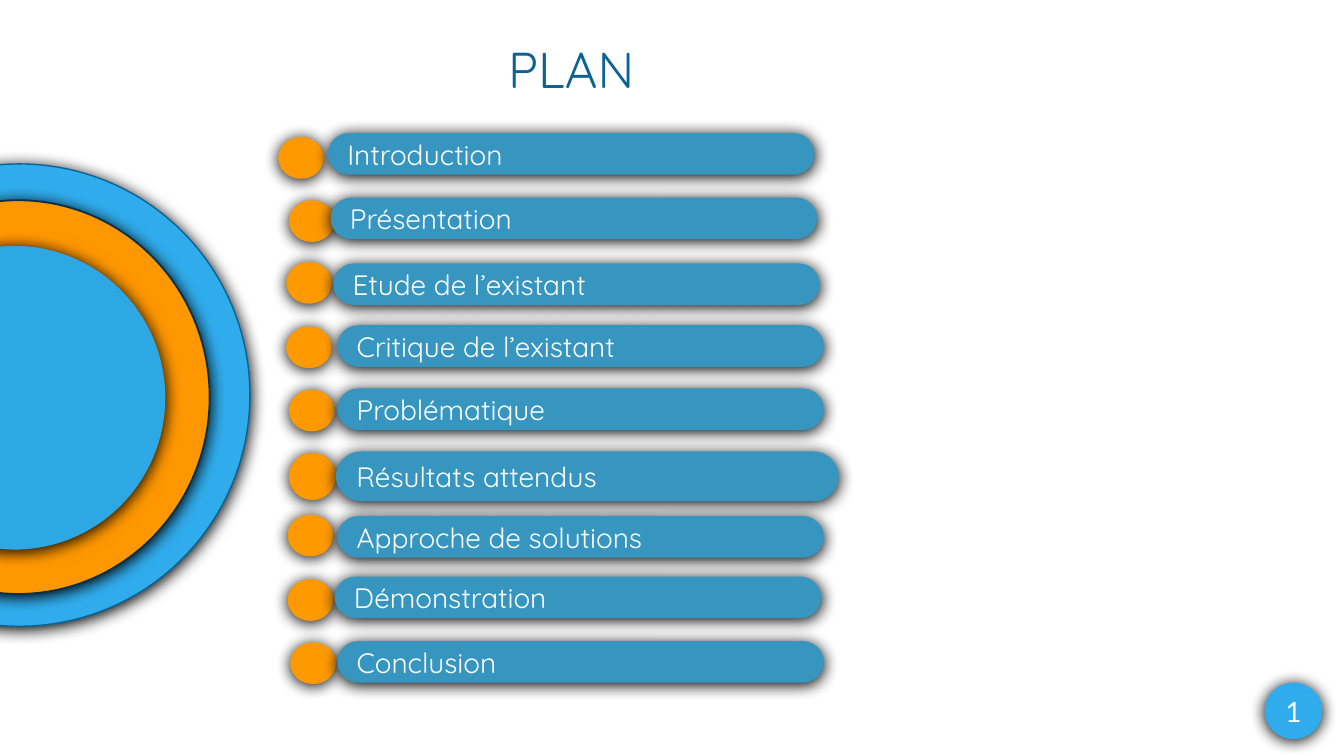
import lxml.etree
import pptx
import pptx.dml.color
import pptx.enum.shapes
import pptx.enum.text
import pptx.oxml.ns
import pptx.util

Inches = pptx.util.Inches
Pt = pptx.util.Pt
RGBColor = pptx.dml.color.RGBColor
SHAPE = pptx.enum.shapes.MSO_SHAPE
ALIGN = pptx.enum.text.PP_ALIGN
MIDDLE = pptx.enum.text.MSO_ANCHOR.MIDDLE
qn = pptx.oxml.ns.qn

WHITE = RGBColor(0xFF, 0xFF, 0xFF)
SKY = RGBColor(0x30, 0xAC, 0xEC)
CORE_BLUE = RGBColor(0x2E, 0xA7, 0xE5)
BAR_BLUE = RGBColor(0x37, 0x96, 0xBF)
TITLE_BLUE = RGBColor(0x0D, 0x62, 0x94)
NAVY = RGBColor(0x07, 0x31, 0x4A)
RING_ORANGE = RGBColor(0xFF, 0x97, 0x00)
DOT_ORANGE = RGBColor(0xFF, 0x99, 0x00)

DOT_SIZE = (0.34, 0.31)
BAR_SIZE = (3.62, 0.31)
LARGE_DOT_SIZE = (0.35, 0.35)
LARGE_BAR_SIZE = (3.74, 0.37)

RINGS = [
    ((-1.57, 1.22, 3.43, 3.44), SKY, TITLE_BLUE, 0.75),
    ((-1.29, 1.49, 2.85, 2.93), RING_ORANGE, NAVY, 1),
    ((-1.01, 1.83, 2.24, 2.26), CORE_BLUE, None, 0),
]

SECTIONS = [
    ("Introduction", (2.07, 1.02), (2.44, 0.99)),
    ("Présentation", (2.15, 1.49), (2.46, 1.47)),
    ("Etude de l’existant", (2.13, 1.95), (2.48, 1.96)),
    ("Critique de l’existant", (2.13, 2.43), (2.51, 2.42)),
    ("Problématique", (2.15, 2.9), (2.51, 2.89)),
    ("Résultats attendus", (2.15, 3.37), (2.5, 3.36)),
    ("Approche de solutions", (2.14, 3.83), (2.51, 3.84)),
    ("Démonstration", (2.14, 4.31), (2.49, 4.29)),
    ("Conclusion", (2.16, 4.78), (2.51, 4.77)),
]
LARGE_SECTION = "Résultats attendus"


def add_shadow(shape):
    """Give the shape a soft black shadow falling straight down."""
    shape.shadow.inherit = False
    effects = shape._element.spPr.find(qn("a:effectLst"))
    shadow = lxml.etree.SubElement(
        effects, qn("a:outerShdw"), blurRad=str(Pt(8.5)), dist=str(Pt(1)),
        dir="5400000", algn="ctr", rotWithShape="0")
    lxml.etree.SubElement(shadow, qn("a:srgbClr"), val="000000")


def add_shadowed(shapes, preset, box, fill, line=None, line_width=0):
    """Add a filled preset shape with a shadow and an optional outline."""
    shape = shapes.add_shape(preset, *map(Inches, box))
    shape.fill.solid()
    shape.fill.fore_color.rgb = fill
    if line is None:
        shape.line.fill.background()
    else:
        shape.line.color.rgb = line
        shape.line.width = Pt(line_width)
    add_shadow(shape)
    return shape


def set_text(shape, text, font, size, color, align):
    """Write one vertically centred line of formatted text."""
    frame = shape.text_frame
    frame.text = text
    frame.vertical_anchor = MIDDLE
    paragraph = frame.paragraphs[0]
    paragraph.alignment = align
    run = paragraph.runs[0]
    run.font.name = font
    run.font.size = Pt(size)
    run.font.color.rgb = color


def add_title(slide, text):
    """Place the heading in the title placeholder."""
    title = slide.shapes.title
    title.left, title.top = Inches(2.98), Inches(0.24)
    title.width, title.height = Inches(2.54), Inches(0.56)
    set_text(title, text, "Quicksand", 27, TITLE_BLUE, ALIGN.CENTER)
    title.text_frame.margin_top = Inches(0.02)


def add_page_badge(slide, number):
    """Add the round page number badge."""
    badge = add_shadowed(slide.shapes, SHAPE.OVAL, (9.41, 5.08, 0.43, 0.42), SKY)
    set_text(badge, number, "Lato", 15, WHITE, ALIGN.CENTER)
    badge.text_frame.margin_left = badge.text_frame.margin_right = 0


def add_section(slide, label, dot_at, bar_at):
    """Add one plan entry, a dot grouped with its labelled bar."""
    large = label == LARGE_SECTION
    dot_size = LARGE_DOT_SIZE if large else DOT_SIZE
    bar_size = LARGE_BAR_SIZE if large else BAR_SIZE
    entry = slide.shapes.add_group_shape()
    add_shadowed(entry.shapes, SHAPE.OVAL, dot_at + dot_size, DOT_ORANGE)
    bar = add_shadowed(entry.shapes, SHAPE.ROUNDED_RECTANGLE, bar_at + bar_size, BAR_BLUE)
    bar.adjustments[0] = 0.5
    set_text(bar, label, "Quicksand", 15, WHITE, ALIGN.LEFT)


def main():
    """Build the plan slide and save it."""
    deck = pptx.Presentation()
    deck.slide_width = Inches(10)
    deck.slide_height = deck.slide_width * 9 // 16
    slide = deck.slides.add_slide(deck.slide_layouts.get_by_name("Title Only"))
    add_title(slide, "PLAN")
    add_page_badge(slide, "1")
    for box, fill, line, line_width in RINGS:
        add_shadowed(slide.shapes, SHAPE.OVAL, box, fill, line, line_width)
    for label, dot_at, bar_at in SECTIONS:
        add_section(slide, label, dot_at, bar_at)
    deck.save("out.pptx")


if __name__ == "__main__":
    main()
